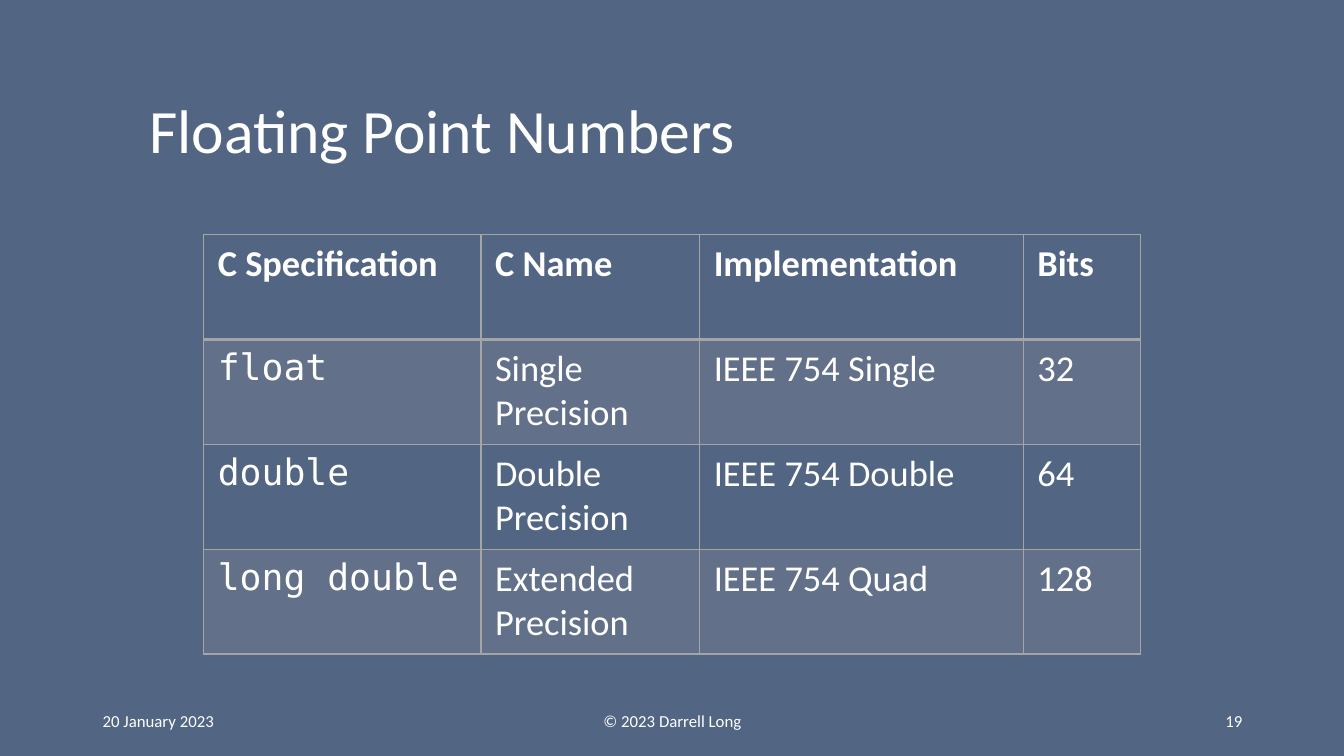
from lxml import etree
from pptx import Presentation
from pptx import util as u
from pptx.dml.color import RGBColor
from pptx.enum import text as t
from pptx.oxml import ns

WHITE = RGBColor(0xFF, 0xFF, 0xFF)
SLATE = RGBColor(0x52, 0x65, 0x82)
GRAY = RGBColor(0xA5, 0xA5, 0xA5)
SANS, MONO = "Calibri", "DejaVu Sans Mono"
BAND_OPACITY = 20

HEADINGS = ("C Specification", "C Name", "Implementation", "Bits")
FLOAT_TYPES = (
    ("float", "Single Precision", "IEEE 754 Single", "32"),
    ("double", "Double Precision", "IEEE 754 Double", "64"),
    ("long double", "Extended Precision", "IEEE 754 Quad", "128"),
)
COLUMN_WIDTHS = (2.75, 2.17, 3.21, 1.16)
ROW_HEIGHT = 1.04


def inches(box):
    """Convert a left, top, width, height box to lengths."""
    return [u.Inches(length) for length in box]


def write(frame, wording, size, font=SANS, bold=False, align=t.PP_ALIGN.LEFT):
    """Write one formatted run into a text frame."""
    frame.word_wrap = True
    line = frame.paragraphs[0]
    line.alignment = align
    run = line.add_run()
    run.text = wording
    run.font.name, run.font.size, run.font.bold = font, u.Pt(size), bold
    run.font.color.rgb = WHITE
    return line


def add_title(slide, box, wording):
    """Place the title placeholder in its box."""
    title = slide.shapes.title
    title.left, title.top, title.width, title.height = inches(box)
    title.text_frame.vertical_anchor = t.MSO_ANCHOR.MIDDLE
    write(title.text_frame, wording, 44).line_spacing = 0.9


def fill_band(cell, banded):
    """Give a cell a translucent band or no fill."""
    if not banded:
        cell.fill.background()
        return
    cell.fill.solid()
    cell.fill.fore_color.rgb = GRAY
    tint = next(cell.fill._xPr.iter(ns.qn("a:srgbClr")))
    etree.SubElement(tint, ns.qn("a:alpha")).set("val", str(BAND_OPACITY * 1000))


def draw_borders(cell, top, bottom):
    """Rule the four sides of a cell, with widths in points."""
    properties = cell._tc.get_or_add_tcPr()
    for order, (side, width) in enumerate(zip("LRTB", (1, 1, top, bottom))):
        edge = etree.Element(ns.qn(f"a:ln{side}"), w=str(u.Pt(width)))
        solid = etree.SubElement(edge, ns.qn("a:solidFill"))
        etree.SubElement(solid, ns.qn("a:srgbClr"), val=str(GRAY))
        properties.insert(order, edge)


def add_type_table(slide, left, top):
    """Place the table of floating point types at its corner."""
    rows = (HEADINGS, *FLOAT_TYPES)
    box = (left, top, sum(COLUMN_WIDTHS), ROW_HEIGHT * len(rows))
    table = slide.shapes.add_table(len(rows), len(HEADINGS), *inches(box)).table
    table.horz_banding = False
    for column, width in zip(table.columns, COLUMN_WIDTHS):
        column.width = u.Inches(width)
    for r, row in enumerate(rows):
        table.rows[r].height = u.Inches(ROW_HEIGHT)
        for c, wording in enumerate(row):
            cell = table.cell(r, c)
            cell.margin_left = cell.margin_right = u.Inches(0.14)
            cell.margin_top = cell.margin_bottom = u.Inches(0.07)
            font = MONO if r and c == 0 else SANS
            write(cell.text_frame, wording, 26, font, bold=r == 0)
            fill_band(cell, r % 2 == 1)
            draw_borders(cell, 2 if r == 1 else 1, 2 if r == 0 else 1)


def add_footer(slide, top, height):
    """Place the date, copyright line and page number in one row."""
    parts = (
        (0.92, 3, "20 January 2023", t.PP_ALIGN.LEFT),
        (4.42, 4.5, "© 2023 Darrell Long", t.PP_ALIGN.CENTER),
        (9.42, 3, "19", t.PP_ALIGN.RIGHT),
    )
    for left, width, wording, align in parts:
        frame = slide.shapes.add_textbox(*inches((left, top, width, height))).text_frame
        frame.vertical_anchor = t.MSO_ANCHOR.MIDDLE
        write(frame, wording, 12, align=align)


def main():
    """Build and save the slide."""
    deck = Presentation()
    deck.slide_width, deck.slide_height = u.Inches(13.33), u.Inches(7.5)
    slide = deck.slides.add_slide(deck.slide_layouts.get_by_name("Title Only"))
    slide.background.fill.solid()
    slide.background.fill.fore_color.rgb = SLATE
    add_title(slide, (1.38, 0.6, 10.78, 1.45), "Floating Point Numbers")
    add_type_table(slide, 2.02, 2.33)
    add_footer(slide, 6.95, 0.4)
    deck.save("out.pptx")


if __name__ == "__main__":
    main()
